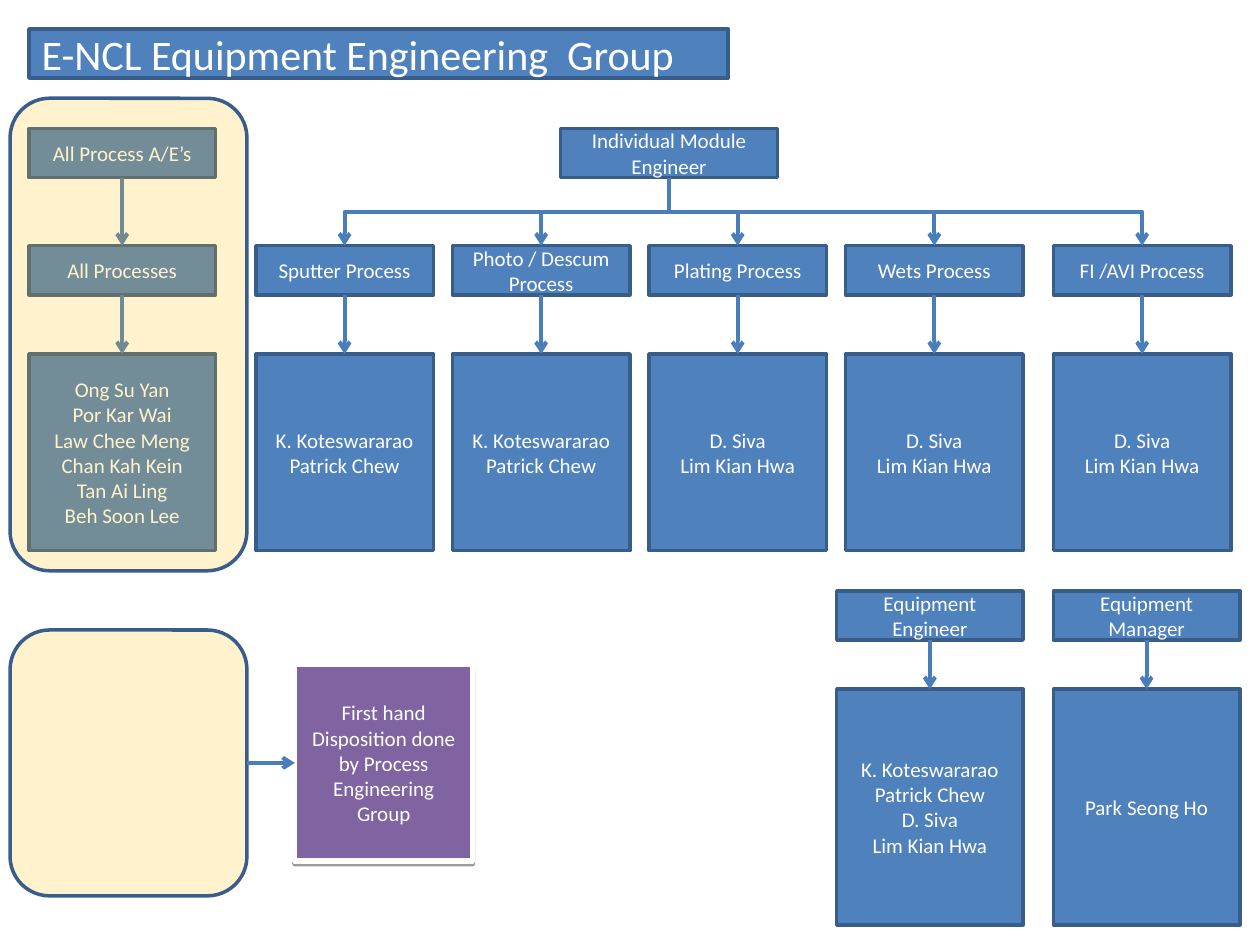
from lxml import etree
from pptx import Presentation
from pptx.dml.color import RGBColor
from pptx.enum import shapes, text
from pptx.oxml.ns import qn
from pptx.util import Inches, Pt

BLUE, NAVY, ARROW = "4F81BD", "385D8A", "4A7EBB"
AMBER, PURPLE, WHITE = "FFC000", "8064A2", "FFFFFF"
BAR_HEIGHT = 0.39
STAFF_HEIGHT = 1.56


def colour(value):
    return RGBColor.from_string(value)


def write_text(shape, lines, size=12, color=WHITE, align=text.PP_ALIGN.CENTER):
    frame = shape.text_frame
    frame.auto_size = text.MSO_AUTO_SIZE.NONE
    frame.word_wrap = True
    frame.vertical_anchor = text.MSO_ANCHOR.MIDDLE
    frame.margin_left = frame.margin_right = Inches(0.1)
    frame.margin_top = frame.margin_bottom = Inches(0.05)
    for index, line in enumerate(lines):
        paragraph = frame.paragraphs[0] if index == 0 else frame.add_paragraph()
        paragraph.text = line
        paragraph.alignment = align
        paragraph.font.name = "Calibri"
        paragraph.font.size = Pt(size)
        paragraph.font.color.rgb = colour(color)


def paint(shape, fill=BLUE, line=NAVY, width=2):
    shape.fill.solid()
    shape.fill.fore_color.rgb = colour(fill)
    shape.line.color.rgb = colour(line)
    shape.line.width = Pt(width)


def add_box(slide, box, lines, **style):
    shape = slide.shapes.add_shape(
        shapes.MSO_SHAPE.RECTANGLE, *(Inches(value) for value in box))
    shape.shadow.inherit = False
    paint(shape, **style)
    write_text(shape, lines)
    return shape


def style_arrow(connector):
    connector.line.color.rgb = colour(ARROW)
    connector.line.width = Pt(2.25)
    properties = connector.element.spPr
    etree.SubElement(properties.find(qn("a:ln")), qn("a:tailEnd"), type="arrow")
    etree.SubElement(properties, qn("a:effectLst"))


def add_arrow(slide, start, end):
    connector = slide.shapes.add_connector(
        shapes.MSO_CONNECTOR.STRAIGHT, *(Inches(value) for value in start + end))
    style_arrow(connector)


def add_branch(slide, start, end):
    """Elbow that leaves downwards, runs sideways, and arrives downwards."""
    drop, reach = end[1] - start[1], abs(end[0] - start[0])
    left = (start[0] + end[0] - drop) / 2
    top = (start[1] + end[1] - reach) / 2
    begin_x, end_x, turn = left, left + drop, 90
    if end[0] > start[0]:
        begin_x, end_x, turn = end_x, begin_x, 270
    connector = slide.shapes.add_connector(
        shapes.MSO_CONNECTOR.ELBOW, Inches(begin_x), Inches(top),
        Inches(end_x), Inches(top + reach))
    connector.element.spPr.find(qn("a:xfrm")).set("rot", str(turn * 60000))
    style_arrow(connector)


def add_panel(slide, box):
    panel = slide.shapes.add_shape(
        shapes.MSO_SHAPE.ROUNDED_RECTANGLE, *(Inches(value) for value in box))
    panel.shadow.inherit = False
    paint(panel, fill=AMBER)
    fill_color = panel.element.spPr.find(qn("a:solidFill"))[0]
    etree.SubElement(fill_color, qn("a:alpha"), val="20000")


def add_chain(slide, left, width, steps):
    """Boxes in one column, each (top, height, lines), joined by arrows."""
    center = left + width / 2
    previous_bottom = None
    for top, height, lines in steps:
        add_box(slide, (left, top, width, height), lines)
        if previous_bottom is not None:
            add_arrow(slide, (center, previous_bottom), (center, top))
        previous_bottom = top + height


def add_title(slide, box):
    title = slide.shapes.title
    title.left, title.top, title.width, title.height = map(Inches, box)
    paint(title)
    write_text(title, ["E-NCL Equipment Engineering  Group"], size=24,
               align=text.PP_ALIGN.LEFT)


def add_all_processes(slide, box):
    left, top, width, height = box
    names = ["Ong Su Yan", "Por Kar Wai", "Law Chee Meng",
             "Chan Kah Kein", "Tan Ai Ling", "Beh Soon Lee"]
    add_chain(slide, left + 0.15, 1.48, [
        (top + 0.24, BAR_HEIGHT, ["All Process A/E’s"]),
        (top + 1.17, BAR_HEIGHT, ["All Processes"]),
        (top + 2.03, STAFF_HEIGHT, names),
    ])
    add_panel(slide, box)


def add_modules(slide, box):
    left, top, width, height = box
    column_width = 1.41
    first_pair = ["K. Koteswararao", "Patrick Chew"]
    second_pair = ["D. Siva", "Lim Kian Hwa"]
    modules = [
        ("Sputter Process", first_pair),
        ("Photo / Descum Process", first_pair),
        ("Plating Process", second_pair),
        ("Wets Process", second_pair),
        ("FI /AVI Process", second_pair),
    ]
    # Head of the tree
    head_left, head_width = left + 2.42, 1.72
    add_box(slide, (head_left, top, head_width, BAR_HEIGHT),
            ["Individual Module Engineer"])
    start = (head_left + head_width / 2, top + BAR_HEIGHT)
    # Evenly spaced columns, the last one flush right
    for index, (process, staff) in enumerate(modules):
        column = left + 1.56 * index
        if index == len(modules) - 1:
            column = left + width - column_width
        add_chain(slide, column, column_width, [
            (top + 0.93, BAR_HEIGHT, [process]),
            (top + 1.79, STAFF_HEIGHT, staff),
        ])
        add_branch(slide, start, (column + column_width / 2, top + 0.93))


def add_equipment_staff(slide, box):
    left, top, width, height = box
    column_width = 1.48
    groups = [
        (left, "Equipment Engineer",
         ["K. Koteswararao", "Patrick Chew", "D. Siva", "Lim Kian Hwa"]),
        (left + width - column_width, "Equipment Manager", ["Park Seong Ho"]),
    ]
    for column, role, staff in groups:
        add_chain(slide, column, column_width, [
            (top, BAR_HEIGHT, [role]),
            (top + 0.78, height - 0.78, staff),
        ])


def add_disposition(slide, box):
    left, top, width, height = box
    panel_width, note_width = 1.88, 1.41
    note_left = left + width - note_width
    middle = top + height / 2
    add_panel(slide, (left, top, panel_width, height))
    note = add_box(
        slide, (note_left, middle - STAFF_HEIGHT / 2, note_width, STAFF_HEIGHT),
        ["First hand Disposition done by Process Engineering Group"],
        fill=PURPLE, line=WHITE, width=3)
    # Soft edge under the note
    effects = note.element.spPr.find(qn("a:effectLst"))
    shadow = etree.SubElement(effects, qn("a:outerShdw"), blurRad="0",
                              dist=str(Pt(1.6)), dir="5400000", rotWithShape="0")
    black = etree.SubElement(shadow, qn("a:srgbClr"), val="000000")
    etree.SubElement(black, qn("a:alpha"), val="38000")
    add_arrow(slide, (left + panel_width, middle), (note_left, middle))


def main():
    presentation = Presentation()
    presentation.slide_width, presentation.slide_height = Inches(10), Inches(7.5)
    slide = presentation.slides.add_slide(presentation.slide_layouts[5])
    add_title(slide, (0.23, 0.23, 5.55, BAR_HEIGHT))
    add_all_processes(slide, (0.08, 0.78, 1.88, 3.75))
    add_modules(slide, (2.03, 1.02, 7.74, 3.35))
    add_equipment_staff(slide, (6.64, 4.69, 3.2, 2.65))
    add_disposition(slide, (0.08, 5, 3.67, 2.11))
    presentation.save("out.pptx")


if __name__ == "__main__":
    main()
